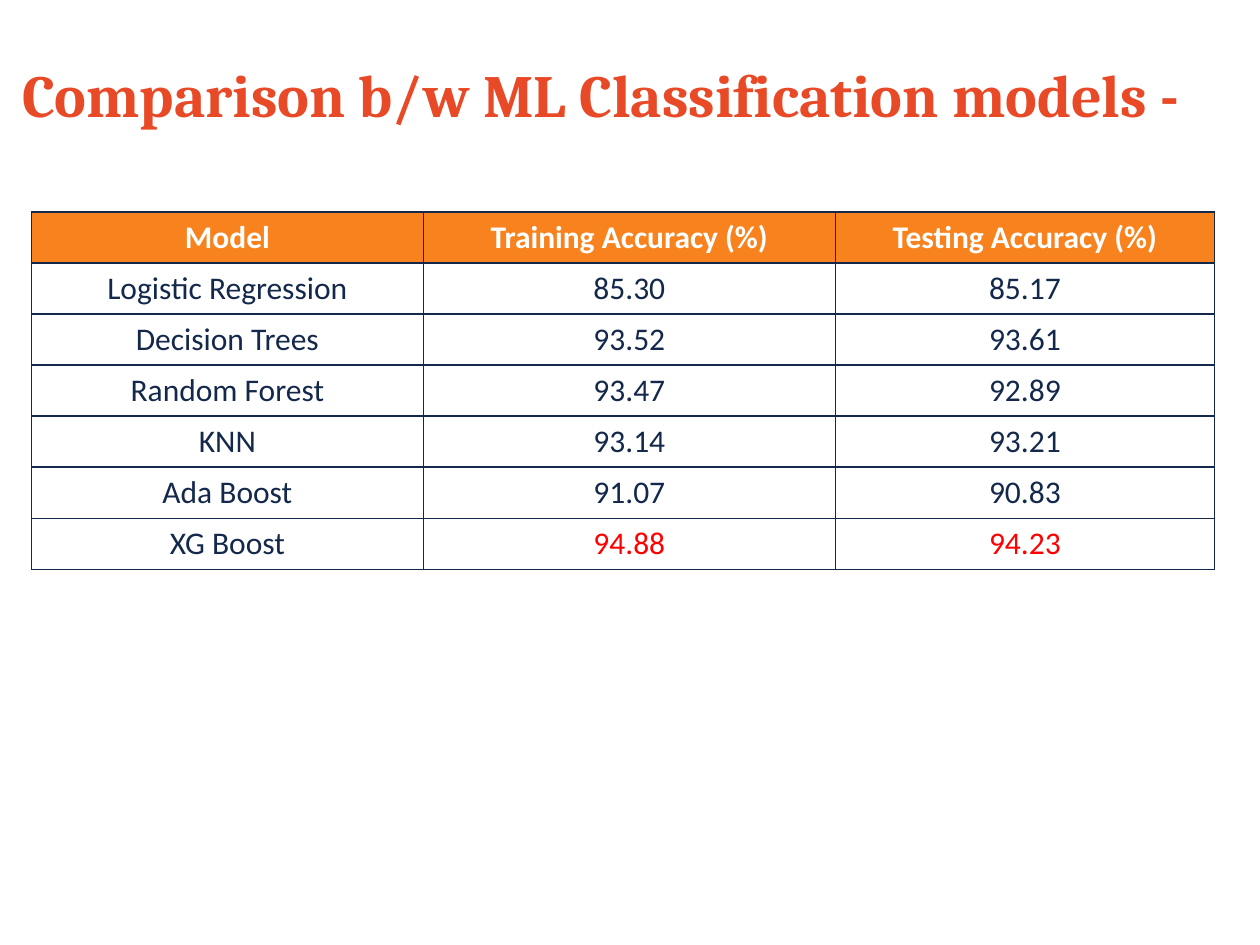
from dataclasses import dataclass

from lxml import etree
from pptx import Presentation
from pptx import util as u
from pptx.dml.color import RGBColor
from pptx.enum import text
from pptx.oxml import ns

ORANGE_RED = RGBColor(0xE8, 0x4A, 0x27)
ORANGE = RGBColor(0xF7, 0x82, 0x1E)
NAVY = RGBColor(0x13, 0x28, 0x4B)
RED = RGBColor(0xFF, 0x00, 0x00)
WHITE = RGBColor(0xFF, 0xFF, 0xFF)


@dataclass(frozen=True)
class TextStyle:
    font: str
    size: float
    color: RGBColor
    bold: bool = False


@dataclass(frozen=True)
class ModelScore:
    name: str
    training: str
    testing: str
    best: bool = False


TITLE = TextStyle("Cambria", 34.2, ORANGE_RED, True)
HEADER = TextStyle("Calibri", 18, WHITE, True)
BODY = TextStyle("Calibri", 18, NAVY)
BEST = TextStyle("Calibri", 18, RED)

HEADINGS = ("Model", "Training Accuracy (%)", "Testing Accuracy (%)")
SCORES = (
    ModelScore("Logistic Regression", "85.30", "85.17"),
    ModelScore("Decision Trees", "93.52", "93.61"),
    ModelScore("Random Forest", "93.47", "92.89"),
    ModelScore("KNN", "93.14", "93.21"),
    ModelScore("Ada Boost", "91.07", "90.83"),
    ModelScore("XG Boost", "94.88", "94.23", best=True),
)
COLUMN_WIDTHS = (223.9, 235.5, 216.7)
ROW_HEIGHT = 29.2


def write(paragraph, words: str, style: TextStyle) -> None:
    paragraph.alignment = text.PP_ALIGN.CENTER
    run = paragraph.add_run()
    run.text = words
    run.font.name = style.font
    run.font.size = u.Pt(style.size)
    run.font.bold = style.bold
    run.font.color.rgb = style.color


def add_borders(cell, color: RGBColor, width: float) -> None:
    properties = cell._tc.get_or_add_tcPr()
    for position, side in enumerate(("lnL", "lnR", "lnT", "lnB")):
        line = etree.Element(ns.qn(f"a:{side}"), w=str(u.Pt(width)))
        fill = etree.SubElement(line, ns.qn("a:solidFill"))
        etree.SubElement(fill, ns.qn("a:srgbClr"), val=str(color))
        properties.insert(position, line)


def fill_cell(cell, words: str, style: TextStyle, background: RGBColor) -> None:
    cell.fill.solid()
    cell.fill.fore_color.rgb = background
    add_borders(cell, NAVY, 1)
    write(cell.text_frame.paragraphs[0], words, style)


def add_title(slide, words: str) -> None:
    frame = slide.shapes.add_textbox(
        u.Pt(0), u.Pt(18.7), u.Pt(686.2), u.Pt(74.2)).text_frame
    frame.word_wrap = True
    frame.vertical_anchor = text.MSO_ANCHOR.MIDDLE
    frame.paragraphs[0].line_spacing = 0.9
    write(frame.paragraphs[0], words, TITLE)


def add_scores(slide) -> None:
    row_count = len(SCORES) + 1
    table = slide.shapes.add_table(
        row_count, len(HEADINGS), u.Pt(18), u.Pt(121),
        u.Pt(sum(COLUMN_WIDTHS)), u.Pt(ROW_HEIGHT * row_count)).table
    for column, width in zip(table.columns, COLUMN_WIDTHS):
        column.width = u.Pt(width)
    for row in table.rows:
        row.height = u.Pt(ROW_HEIGHT)

    # Header row
    for column, heading in enumerate(HEADINGS):
        fill_cell(table.cell(0, column), heading, HEADER, ORANGE)

    # One row per model, the best accuracies in red
    for row, score in enumerate(SCORES, start=1):
        accuracy = BEST if score.best else BODY
        fill_cell(table.cell(row, 0), score.name, BODY, WHITE)
        fill_cell(table.cell(row, 1), score.training, accuracy, WHITE)
        fill_cell(table.cell(row, 2), score.testing, accuracy, WHITE)


def main() -> None:
    deck = Presentation()
    deck.slide_width, deck.slide_height = u.Pt(720), u.Pt(540)
    slide = deck.slides.add_slide(deck.slide_layouts[6])
    add_title(slide, "Comparison b/w ML Classification models -")
    add_scores(slide)
    deck.save("out.pptx")


if __name__ == "__main__":
    main()
